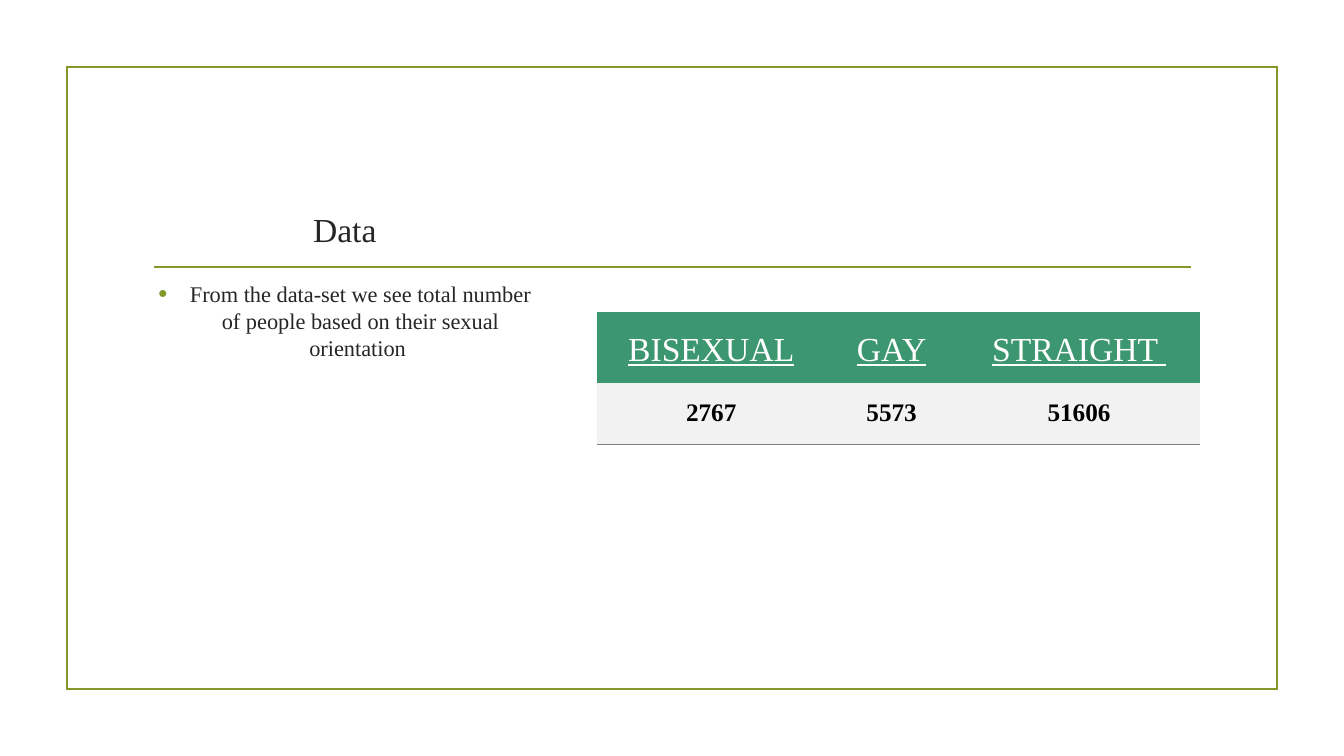
from dataclasses import dataclass

import lxml.etree
import pptx
import pptx.dml.color
import pptx.enum.shapes
import pptx.enum.text
import pptx.oxml
import pptx.oxml.ns
import pptx.util

Pt = pptx.util.Pt
RGBColor = pptx.dml.color.RGBColor
MIDDLE = pptx.enum.text.MSO_ANCHOR.MIDDLE
TOP = pptx.enum.text.MSO_ANCHOR.TOP
CENTER = pptx.enum.text.PP_ALIGN.CENTER
qn = pptx.oxml.ns.qn

OLIVE = RGBColor(0x83, 0x99, 0x2A)
GREEN = RGBColor(0x3C, 0x97, 0x70)
PALE = RGBColor(0xF2, 0xF2, 0xF2)
GREY = RGBColor(0x80, 0x80, 0x80)
INK = RGBColor(0x26, 0x26, 0x26)
BLACK = RGBColor(0, 0, 0)
WHITE = RGBColor(0xFF, 0xFF, 0xFF)
FONT = "Times New Roman"
TEXT_LEFT = 102.24
TEXT_WIDTH = 288


@dataclass
class TextStyle:
    size: float
    color: RGBColor
    bold: bool = False
    underline: bool = False


@dataclass
class TableRow:
    labels: list[str]
    height: float
    fill: RGBColor
    anchor: pptx.enum.text.MSO_ANCHOR
    style: TextStyle
    ruled: bool = False


COLUMN_WIDTHS = [162.7, 95, 172.8]
ROWS = [
    TableRow(["BISEXUAL", "GAY", "STRAIGHT "], 51, GREEN, MIDDLE,
             TextStyle(24, WHITE, underline=True)),
    TableRow(["2767", "5573", "51606"], 43.5, PALE, TOP,
             TextStyle(18, BLACK, bold=True), ruled=True),
]


def write_text(frame: pptx.text.text.TextFrame, text: str, style: TextStyle) -> None:
    frame.text = text
    para = frame.paragraphs[0]
    para.alignment = CENTER
    font = para.runs[0].font
    font.name = FONT
    font.size = Pt(style.size)
    font.color.rgb = style.color
    font.bold = style.bold
    font.underline = style.underline


def add_frame(page: pptx.slide.Slide) -> None:
    frame = page.shapes.add_shape(
        pptx.enum.shapes.MSO_SHAPE.RECTANGLE, Pt(47.7), Pt(48), Pt(864.3), Pt(444.2))
    frame.shadow.inherit = False
    frame.fill.background()
    frame.line.color.rgb = OLIVE
    frame.line.width = Pt(1.25)
    outline = frame._element.spPr.find(qn("a:ln"))
    lxml.etree.SubElement(outline, qn("a:miter"), lim="800000")


def add_divider(page: pptx.slide.Slide) -> None:
    divider = page.shapes.add_connector(
        pptx.enum.shapes.MSO_CONNECTOR.STRAIGHT, Pt(110.2), Pt(190.8), Pt(850.5), Pt(190.8))
    divider.line.color.rgb = OLIVE
    divider.line.width = Pt(1.25)
    lxml.etree.SubElement(divider._element.spPr, qn("a:effectLst"))


def place_title(page: pptx.slide.Slide) -> None:
    title = page.shapes.title
    title.left, title.top = Pt(TEXT_LEFT), Pt(77)
    title.width, title.height = Pt(TEXT_WIDTH), Pt(104.4)
    frame = title.text_frame
    frame.auto_size = pptx.enum.text.MSO_AUTO_SIZE.NONE
    frame.vertical_anchor = pptx.enum.text.MSO_ANCHOR.BOTTOM
    write_text(frame, "Data", TextStyle(24, INK))


def add_summary(page: pptx.slide.Slide) -> None:
    box = page.shapes.add_textbox(Pt(TEXT_LEFT), Pt(196.6), Pt(TEXT_WIDTH), Pt(266.4))
    frame = box.text_frame
    frame.word_wrap = True
    write_text(
        frame,
        "From the data-set we see total number of people based on their sexual orientation ",
        TextStyle(16, INK))
    para = frame.paragraphs[0]
    para.space_before = Pt(3.2)
    para.space_after = Pt(6)
    properties = para._p.get_or_add_pPr()
    properties.set("marL", str(Pt(22.5)))
    properties.set("indent", str(Pt(-22.5)))
    color = lxml.etree.SubElement(properties, qn("a:buClr"))
    lxml.etree.SubElement(color, qn("a:srgbClr"), val=str(OLIVE))
    lxml.etree.SubElement(properties, qn("a:buSzPct"), val="115000")
    lxml.etree.SubElement(properties, qn("a:buFont"), typeface="Arial")
    lxml.etree.SubElement(properties, qn("a:buChar"), char="•")


def set_borders(cell: pptx.table._Cell, ruled: bool) -> None:
    properties = cell._tc.get_or_add_tcPr()
    for position, side in enumerate(["lnL", "lnR", "lnT", "lnB"]):
        border = lxml.etree.Element(qn(f"a:{side}"))
        if ruled and side == "lnB":
            border.set("w", str(Pt(0.75)))
            fill = lxml.etree.SubElement(border, qn("a:solidFill"))
            lxml.etree.SubElement(fill, qn("a:srgbClr"), val=str(GREY))
        else:
            lxml.etree.SubElement(border, qn("a:noFill"))
        properties.insert(position, border)


def add_counts(page: pptx.slide.Slide) -> None:
    shape = page.shapes.add_table(
        len(ROWS), len(COLUMN_WIDTHS), Pt(426.7), Pt(222.9),
        Pt(sum(COLUMN_WIDTHS)), Pt(sum(row.height for row in ROWS)))
    table = shape.table
    table.horz_banding = False
    for column, width in zip(table.columns, COLUMN_WIDTHS):
        column.width = Pt(width)
    for row_index, row in enumerate(ROWS):
        table.rows[row_index].height = Pt(row.height)
        for column_index, label in enumerate(row.labels):
            cell = table.cell(row_index, column_index)
            cell.margin_left = cell.margin_right = Pt(15.1)
            cell.margin_top, cell.margin_bottom = Pt(10.8), Pt(7.9)
            cell.vertical_anchor = row.anchor
            cell.fill.solid()
            cell.fill.fore_color.rgb = row.fill
            set_borders(cell, row.ruled)
            write_text(cell.text_frame, label, row.style)


def main() -> None:
    deck = pptx.Presentation()
    deck.slide_width, deck.slide_height = Pt(960), Pt(540)
    page = deck.slides.add_slide(deck.slide_layouts.get_by_name("Title Only"))
    add_frame(page)
    add_divider(page)
    place_title(page)
    add_summary(page)
    add_counts(page)
    deck.save("out.pptx")


if __name__ == "__main__":
    main()
